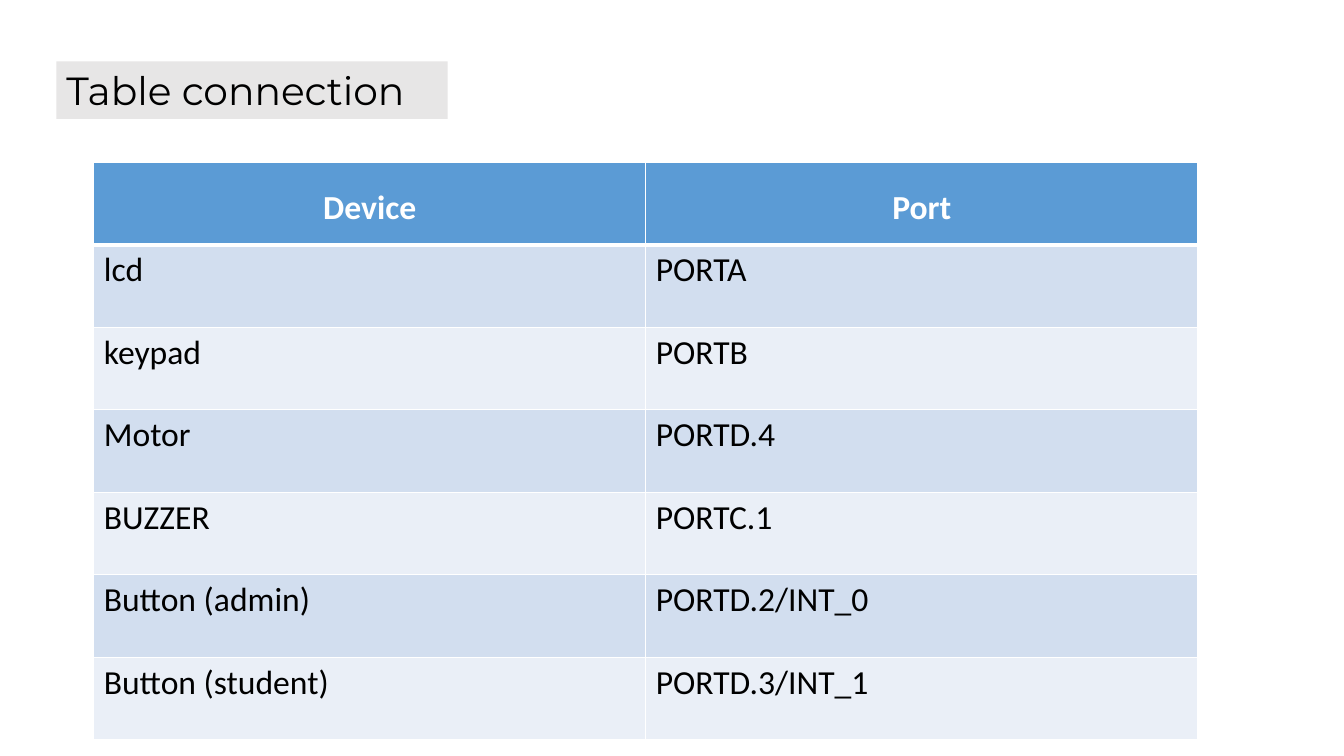
import dataclasses

import lxml.etree
import pptx
import pptx.dml.color
import pptx.enum.text
import pptx.oxml.ns
import pptx.util

Inches = pptx.util.Inches
Pt = pptx.util.Pt
ALIGN = pptx.enum.text.PP_ALIGN


@dataclasses.dataclass(frozen=True)
class Theme:
    title_font: str = "Montserrat"
    table_font: str = "Calibri"
    title_size: int = 28
    table_size: int = 24
    title_fill: str = "E7E6E6"
    header_fill: str = "5B9BD5"
    bands: tuple = ("D2DEEF", "EAEFF7")
    dark: str = "000000"
    light: str = "FFFFFF"
    rule: int = 1
    header_rule: int = 3


THEME = Theme()

CONNECTIONS = [
    ("Device", "Port"),
    ("lcd", "PORTA"),
    ("keypad", "PORTB"),
    ("Motor", "PORTD.4"),
    ("BUZZER", "PORTC.1"),
    ("Button (admin)", "PORTD.2/INT_0"),
    ("Button (student)", "PORTD.3/INT_1"),
]


def rgb(value):
    return pptx.dml.color.RGBColor.from_string(value)


def paint(target, color):
    target.fill.solid()
    target.fill.fore_color.rgb = rgb(color)


def write(frame, text, color, align=ALIGN.LEFT, spacing=1.0, **font_format):
    paragraph = frame.paragraphs[0]
    paragraph.alignment = align
    paragraph.line_spacing = spacing
    run = paragraph.add_run()
    run.text = text
    run.font.color.rgb = rgb(color)
    for attribute, value in font_format.items():
        setattr(run.font, attribute, value)


def set_borders(cell, widths):
    """Add cell borders, which must come before the fill in the XML."""
    properties = cell._tc.get_or_add_tcPr()
    qn = pptx.oxml.ns.qn
    for position, side in enumerate("LRTB"):
        line = lxml.etree.Element(qn(f"a:ln{side}"), w=str(Pt(widths[side])))
        fill = lxml.etree.SubElement(line, qn("a:solidFill"))
        lxml.etree.SubElement(fill, qn("a:srgbClr"), val=THEME.light)
        properties.insert(position, line)


def add_title(slide, left, top, width, height):
    title = slide.shapes.add_textbox(left, top, width, height)
    paint(title, THEME.title_fill)
    title.text_frame.word_wrap = True
    write(title.text_frame, "Table connection", THEME.dark,
          name=THEME.title_font, size=Pt(THEME.title_size))


def add_connection_table(slide, left, top, width, height):
    table = slide.shapes.add_table(
        len(CONNECTIONS), len(CONNECTIONS[0]), left, top, width, height).table
    header_format = dict(color=THEME.light, align=ALIGN.CENTER, spacing=1.5, bold=True)
    body_format = dict(color=THEME.dark, bold=False)

    for row, texts in enumerate(CONNECTIONS):
        is_header = row == 0
        widths = dict.fromkeys("LRTB", THEME.rule)
        # The heavy rule lies between the header and the first device
        if row < 2:
            widths["B" if is_header else "T"] = THEME.header_rule
        for column, text in enumerate(texts):
            cell = table.cell(row, column)
            paint(cell, THEME.header_fill if is_header else THEME.bands[(row - 1) % 2])
            set_borders(cell, widths)
            write(cell.text_frame, text, name=THEME.table_font,
                  size=Pt(THEME.table_size),
                  **(header_format if is_header else body_format))


def main():
    deck = pptx.Presentation()
    deck.slide_width, deck.slide_height = Inches(13.33), Inches(7.5)
    slide = deck.slides.add_slide(deck.slide_layouts[6])
    add_title(slide, Inches(0.56), Inches(0.61), Inches(3.88), Inches(0.57))
    add_connection_table(slide, Inches(0.93), Inches(1.61), Inches(10.95), Inches(5.73))
    deck.save("out.pptx")


if __name__ == "__main__":
    main()
